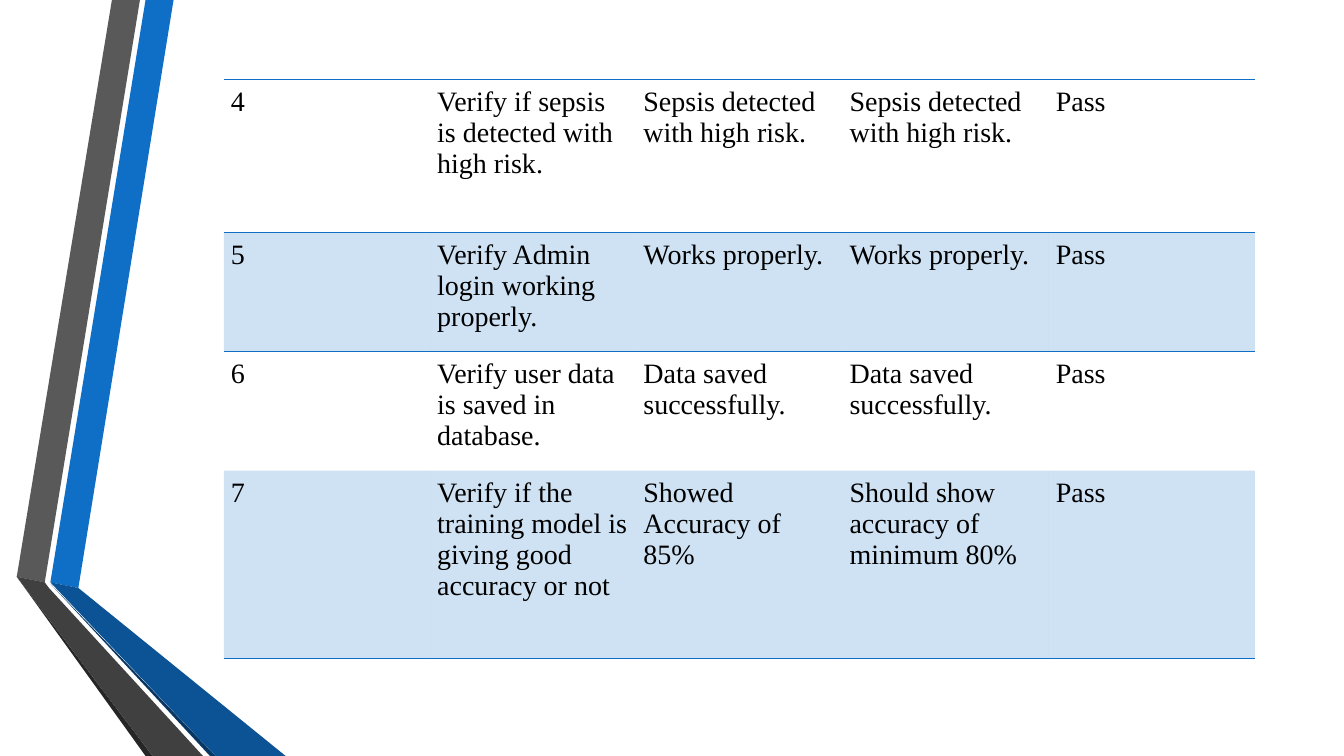
from dataclasses import dataclass

from lxml.etree import SubElement
from pptx import Presentation
from pptx.dml.color import RGBColor
from pptx.oxml.ns import qn
from pptx.slide import Slide
from pptx.table import _Cell
from pptx.util import Pt


@dataclass(frozen=True)
class Theme:
    blue: str = "0F6FC6"
    blue_dark: str = "0B5394"
    blue_deep: str = "083763"
    gray: str = "595959"
    gray_dark: str = "404040"
    gray_deep: str = "262626"
    text: str = "000000"
    font: str = "Times New Roman"
    size: float = 20
    rule: float = 1
    band_opacity: int = 20


@dataclass(frozen=True)
class Ribbon:
    color: str
    points: tuple[tuple[float, float], ...]


@dataclass(frozen=True)
class TestCase:
    number: str
    purpose: str
    expected: str
    actual: str
    result: str
    height: float
    banded: bool = False
    borders: tuple[str, ...] = ()

    def texts(self) -> tuple[str, ...]:
        return self.number, self.purpose, self.expected, self.actual, self.result


THEME = Theme()
WIDTH, HEIGHT = 960, 540
TABLE_LEFT, TABLE_TOP, COLUMN_WIDTH = 160, 56.6, 147.3
CELL_MARGIN = 5
NO_STYLE = "{2D5ABB26-0587-4C30-8999-92F81FD0307C}"

RIBBONS = (
    Ribbon(THEME.blue, ((36, 416.2), (55.6, 419.6), (124.4, 0), (104.4, 0))),
    Ribbon(THEME.gray, ((100, 0), (80, 0), (11.8, 412.4), (31.6, 415.6))),
    Ribbon(THEME.gray_deep, ((11.8, 412.4), (104.4, HEIGHT), (108.7, HEIGHT))),
    Ribbon(THEME.blue_deep, ((36, 416.7), (149.8, HEIGHT), (154.1, HEIGHT))),
    Ribbon(THEME.blue_dark, ((36, 416.2), (154.1, HEIGHT), (203.8, HEIGHT), (55.6, 419.6))),
    Ribbon(THEME.gray_dark, ((11.8, 412.4), (108.7, HEIGHT), (145.4, HEIGHT),
                             (34.6, 419.8), (31.6, 415.6))),
)

TEST_CASES = (
    TestCase("4", "Verify if sepsis is detected with high risk.",
             "Sepsis detected with high risk.", "Sepsis detected with high risk.",
             "Pass", 109.6, borders=("a:lnT", "a:lnB")),
    TestCase("5", "Verify Admin login working properly.",
             "Works properly.", "Works properly.", "Pass", 85, banded=True,
             borders=("a:lnT",)),
    TestCase("6", "Verify user data is saved in database.",
             "Data saved successfully.", "Data saved successfully.", "Pass", 85),
    TestCase("7", "Verify if the training model is giving good accuracy or not",
             "Showed Accuracy of 85%", "Should show accuracy of minimum 80%",
             "Pass", 134.3, banded=True, borders=("a:lnB",)),
)


def rgb(color: str) -> RGBColor:
    return RGBColor.from_string(color)


def draw_ribbon(s: Slide, ribbon: Ribbon) -> None:
    start, *rest = ribbon.points
    builder = s.shapes.build_freeform(*start, scale=Pt(1))
    builder.add_line_segments(rest, close=True)
    sp = builder.convert_to_shape()
    sp.shadow.inherit = False
    sp.fill.solid()
    sp.fill.fore_color.rgb = rgb(ribbon.color)
    sp.line.fill.background()


def add_border(cell: _Cell, side: str) -> None:
    ln = SubElement(cell._tc.get_or_add_tcPr(), qn(side), w=str(Pt(THEME.rule)))
    SubElement(SubElement(ln, qn("a:solidFill")), qn("a:srgbClr"), val=THEME.blue)


def fill_cell(cell: _Cell, banded: bool) -> None:
    if not banded:
        cell.fill.background()
        return
    cell.fill.solid()
    cell.fill.fore_color.rgb = rgb(THEME.blue)
    color = cell._tc.tcPr.find(qn("a:solidFill")).find(qn("a:srgbClr"))
    SubElement(color, qn("a:alpha"), val=str(THEME.band_opacity * 1000))


def write_cell(cell: _Cell, text: str) -> None:
    cell.margin_left = cell.margin_right = Pt(CELL_MARGIN)
    cell.margin_top = cell.margin_bottom = Pt(CELL_MARGIN)
    p = cell.text_frame.paragraphs[0]
    p.text = text
    p.space_after = Pt(12)
    font = p.runs[0].font
    font.name, font.size = THEME.font, Pt(THEME.size)
    font.color.rgb = rgb(THEME.text)


def draw_table(s: Slide, cases: tuple[TestCase, ...]) -> None:
    columns = len(cases[0].texts())
    frame = s.shapes.add_table(
        len(cases), columns, Pt(TABLE_LEFT), Pt(TABLE_TOP),
        Pt(COLUMN_WIDTH * columns), Pt(sum(case.height for case in cases)))
    table = frame.table
    table.first_row = table.horz_banding = False
    table._tbl.tblPr.find(qn("a:tableStyleId")).text = NO_STYLE
    for column in table.columns:
        column.width = Pt(COLUMN_WIDTH)
    for row, case in zip(table.rows, cases):
        row.height = Pt(case.height)
        for cell, text in zip(row.cells, case.texts()):
            write_cell(cell, text)
            for side in case.borders:
                add_border(cell, side)
            fill_cell(cell, case.banded)


def main() -> None:
    prs = Presentation()
    prs.slide_width, prs.slide_height = Pt(WIDTH), Pt(HEIGHT)
    s = prs.slides.add_slide(prs.slide_layouts[6])
    for ribbon in RIBBONS:
        draw_ribbon(s, ribbon)
    draw_table(s, TEST_CASES)
    prs.save("out.pptx")


if __name__ == "__main__":
    main()
